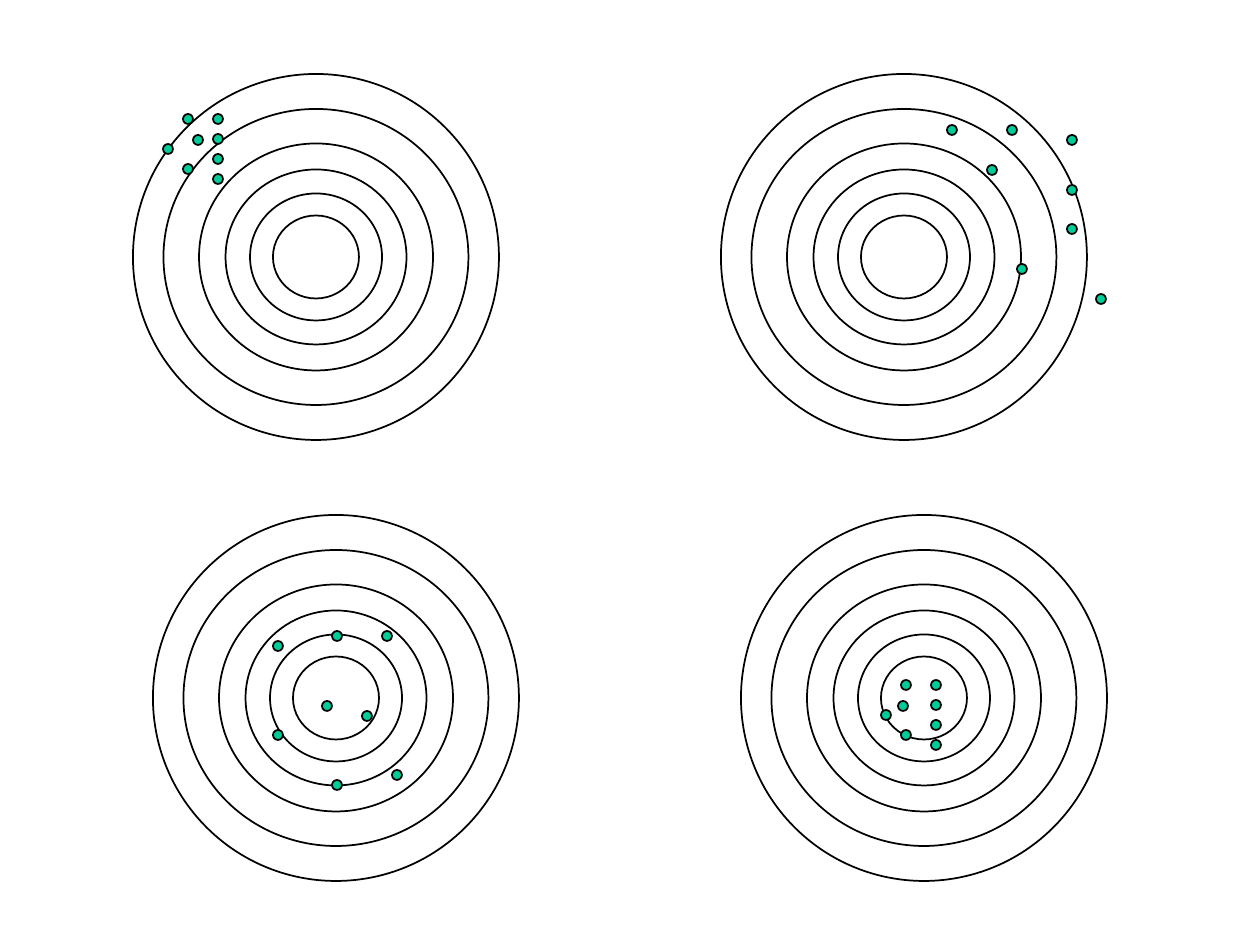
"""Draw four archery targets with different patterns of hits."""
from dataclasses import dataclass

import pptx
import pptx.dml.color
import pptx.enum.shapes
import pptx.util

EMU_PER_PX = 914400 / 126
BLACK = pptx.dml.color.RGBColor(0x00, 0x00, 0x00)
GREEN = pptx.dml.color.RGBColor(0x00, 0xCC, 0x99)
RING_SIZES = [(366, 366), (305, 296), (234, 227), (181, 175), (132, 127), (86, 83)]
HIT_SIZE = (10, 10)


@dataclass(frozen=True)
class Target:
    center: tuple[int, int]
    hits: list[tuple[int, int]]


BOTTOM_RIGHT = Target((924, 698), [
    (906, 685), (906, 735), (936, 685), (936, 725),
    (903, 706), (936, 705), (886, 715), (936, 745)])
BOTTOM_LEFT = Target((336, 698), [
    (327, 706), (337, 785), (387, 636), (367, 716),
    (278, 646), (337, 636), (278, 735), (397, 775)])
TOP_RIGHT = Target((904, 257), [
    (1072, 190), (1072, 140), (1022, 269), (1072, 229),
    (1012, 130), (952, 130), (992, 170), (1101, 299)])
TOP_LEFT = Target((316, 257), [
    (188, 119), (188, 169), (218, 119), (218, 159),
    (198, 140), (218, 139), (168, 149), (218, 179)])


def px(value: float) -> pptx.util.Emu:
    """Turn pixels into EMU."""
    return pptx.util.Emu(round(value * EMU_PER_PX))


def add_ellipse(s, center: tuple[int, int], size: tuple[int, int],
                color: pptx.dml.color.RGBColor | None = None) -> None:
    """Add an outlined ellipse around a centre, filled if a colour is given."""
    (x, y), (w, h) = center, size
    sp = s.shapes.add_shape(pptx.enum.shapes.MSO_SHAPE.OVAL,
                            px(x - w / 2), px(y - h / 2), px(w), px(h))
    sp.shadow.inherit = False
    sp.line.color.rgb = BLACK
    sp.line.width = pptx.util.Pt(1)
    if color is None:
        sp.fill.background()
    else:
        sp.fill.solid()
        sp.fill.fore_color.rgb = color


def add_rings(s, target: Target) -> None:
    """Add the rings of a target, outermost first."""
    for size in RING_SIZES:
        add_ellipse(s, target.center, size)


def add_hits(s, target: Target) -> None:
    """Add the hits of a target."""
    for hit in target.hits:
        add_ellipse(s, hit, HIT_SIZE, GREEN)


def main() -> None:
    """Build and save the slide."""
    prs = pptx.Presentation()
    prs.slide_width, prs.slide_height = px(1260), px(945)
    s = prs.slides.add_slide(prs.slide_layouts[6])
    for target in (BOTTOM_RIGHT, BOTTOM_LEFT, TOP_RIGHT, TOP_LEFT):
        add_rings(s, target)
    for target in (TOP_RIGHT, BOTTOM_LEFT, BOTTOM_RIGHT, TOP_LEFT):
        add_hits(s, target)
    prs.save("out.pptx")


if __name__ == "__main__":
    main()
